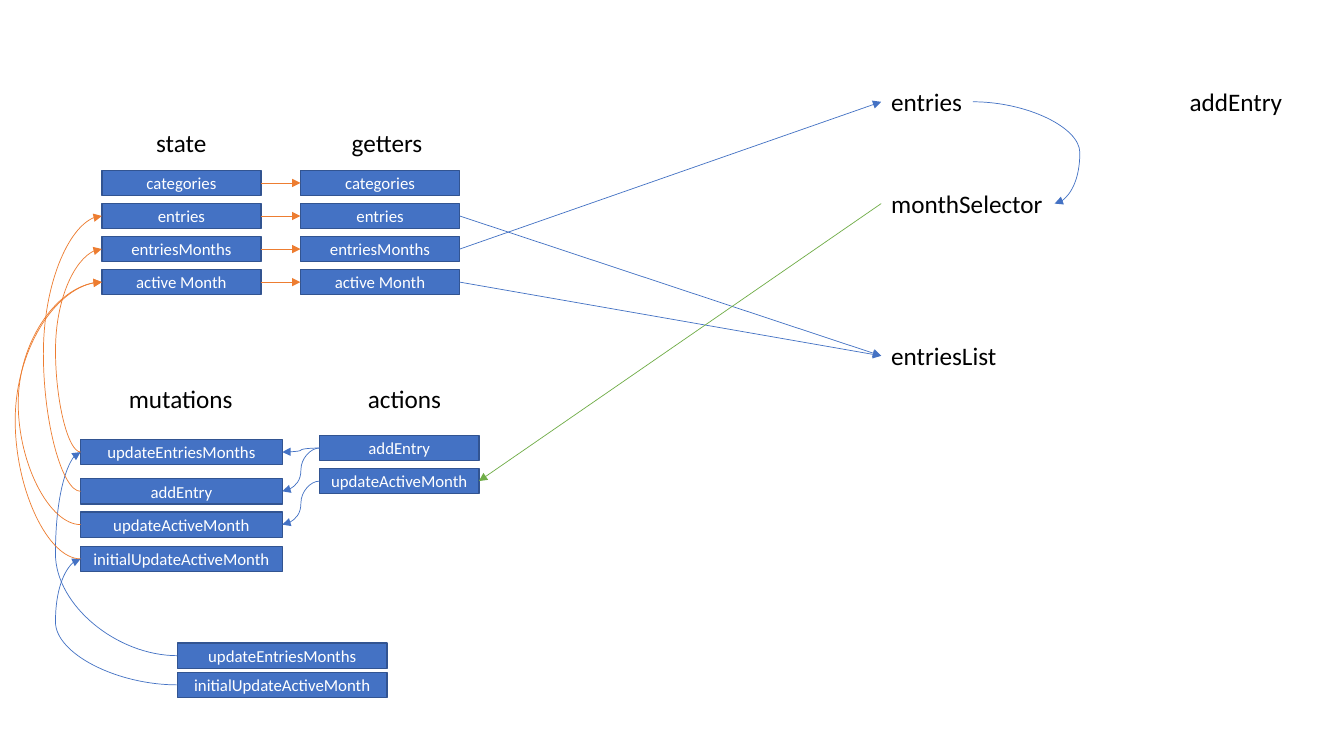
from lxml import etree
from pptx import Presentation
from pptx.dml.color import RGBColor
from pptx.enum.shapes import MSO_CONNECTOR, MSO_SHAPE
from pptx.enum.text import MSO_ANCHOR, MSO_AUTO_SIZE, PP_ALIGN
from pptx.oxml.ns import qn
from pptx.util import Inches, Pt

RECTANGLE = MSO_SHAPE.RECTANGLE
STRAIGHT = MSO_CONNECTOR.STRAIGHT
CURVE = MSO_CONNECTOR.CURVE
MIDDLE = MSO_ANCHOR.MIDDLE
CENTER = PP_ALIGN.CENTER
FIT_SHAPE = MSO_AUTO_SIZE.SHAPE_TO_FIT_TEXT

FONT = "Calibri"
BLUE = "4472C4"
DARK_BLUE = "325491"
ORANGE = "ED7D31"
GREEN = "70AD47"
WHITE = "FFFFFF"
BLACK = "000000"

LEFT, RIGHT = 1, 3
BOX_HEIGHT = 0.25
ROW_STEP = 0.328
STORE_FIELDS = ["categories", "entries", "entriesMonths", "active Month"]


def color(value):
    return RGBColor.from_string(value)


def format_text(text_frame, text, size, text_color):
    text_frame.text = text
    font = text_frame.paragraphs[0].runs[0].font
    font.name = FONT
    font.size = Pt(size)
    font.color.rgb = color(text_color)


def add_label(slide, text, left, top, width):
    label = slide.shapes.add_textbox(Inches(left), Inches(top), Inches(width), Inches(0.4))
    format_text(label.text_frame, text, 18, BLACK)
    label.text_frame.word_wrap = False
    label.text_frame.auto_size = FIT_SHAPE
    return label


def add_box(slide, text, left, top, width):
    box = slide.shapes.add_shape(
        RECTANGLE, Inches(left), Inches(top), Inches(width), Inches(BOX_HEIGHT))
    box.shadow.inherit = False
    box.fill.solid()
    box.fill.fore_color.rgb = color(BLUE)
    box.line.color.rgb = color(DARK_BLUE)
    box.line.width = Pt(1)
    format_text(box.text_frame, text, 12, WHITE)
    box.text_frame.vertical_anchor = MIDDLE
    box.text_frame.paragraphs[0].alignment = CENTER
    return box


def add_column(slide, names, left, tops, width):
    return {name: add_box(slide, name, left, top, width) for name, top in zip(names, tops)}


def even_tops(first, count):
    return [first + ROW_STEP * row for row in range(count)]


def add_arrow(slide, source, source_side, target, target_side, line_color, kind=STRAIGHT):
    arrow = slide.shapes.add_connector(kind, 0, 0, 0, 0)
    arrow.begin_connect(source, source_side)
    arrow.end_connect(target, target_side)
    arrow.line.color.rgb = color(line_color)
    arrow.line.width = Pt(0.5)
    line = arrow.line._get_or_add_ln()
    etree.SubElement(line, qn("a:tailEnd"), type="triangle")
    etree.SubElement(arrow._element.spPr, qn("a:effectLst"))
    return arrow


def add_curve(slide, source, source_side, target, target_side, line_color, bend):
    arrow = add_arrow(slide, source, source_side, target, target_side, line_color, CURVE)
    ratio = (Inches(bend) - arrow.begin_x) / (arrow.end_x - arrow.begin_x)
    geometry = arrow._element.spPr.find(qn("a:prstGeom"))
    adjustments = geometry.find(qn("a:avLst"))
    if adjustments is None:
        adjustments = etree.SubElement(geometry, qn("a:avLst"))
    etree.SubElement(adjustments, qn("a:gd"), name="adj1", fmla=f"val {round(ratio * 100000)}")


def main():
    presentation = Presentation()
    presentation.slide_width = Inches(13.33)
    presentation.slide_height = Inches(7.5)
    slide = presentation.slides.add_slide(presentation.slide_layouts[6])

    add_label(slide, "state", 1.45, 1.21, 0.7)
    add_label(slide, "getters", 3.39, 1.21, 0.91)
    add_label(slide, "mutations", 1.18, 3.75, 1.24)
    add_label(slide, "actions", 3.55, 3.75, 0.94)
    add_label(slide, "addEntry", 11.7, 0.81, 1.13)
    entries = add_label(slide, "entries", 8.74, 0.81, 0.91)
    month_selector = add_label(slide, "monthSelector", 8.74, 1.82, 1.72)
    entries_list = add_label(slide, "entriesList", 8.74, 3.33, 1.26)

    store_tops = even_tops(1.69, len(STORE_FIELDS))
    state = add_column(slide, STORE_FIELDS, 1.01, store_tops, 1.58)
    getters = add_column(slide, STORE_FIELDS, 2.98, store_tops, 1.58)
    mutations = add_column(
        slide,
        ["updateEntriesMonths", "addEntry", "updateActiveMonth", "initialUpdateActiveMonth"],
        0.8, [4.36, 4.75, 5.08, 5.42], 2)
    actions = add_column(
        slide, ["addEntry", "updateActiveMonth"], 3.17, even_tops(4.32, 2), 1.58)
    initial_calls = add_column(
        slide, ["updateEntriesMonths", "initialUpdateActiveMonth"], 1.76, [6.38, 6.67], 2.08)

    for field in STORE_FIELDS:
        add_arrow(slide, state[field], RIGHT, getters[field], LEFT, ORANGE)

    for field, view in [("entries", entries_list), ("active Month", entries_list),
                        ("entriesMonths", entries)]:
        add_arrow(slide, getters[field], RIGHT, view, LEFT, BLUE)
    add_arrow(slide, month_selector, LEFT, actions["updateActiveMonth"], RIGHT, GREEN)

    for action, mutation in [("addEntry", "addEntry"), ("addEntry", "updateEntriesMonths"),
                             ("updateActiveMonth", "updateActiveMonth")]:
        add_curve(slide, actions[action], LEFT, mutations[mutation], RIGHT, BLUE, 2.985)

    for name, call in initial_calls.items():
        add_curve(slide, call, LEFT, mutations[name], LEFT, BLUE, 0.55)

    for mutation, field, bend in [("updateActiveMonth", "active Month", 0.18),
                                  ("addEntry", "entries", 0.43),
                                  ("updateEntriesMonths", "entriesMonths", 0.55),
                                  ("initialUpdateActiveMonth", "active Month", 0.15)]:
        add_curve(slide, mutations[mutation], LEFT, state[field], LEFT, ORANGE, bend)

    add_curve(slide, entries, RIGHT, month_selector, RIGHT, BLUE, 10.71)

    presentation.save("out.pptx")


if __name__ == "__main__":
    main()
